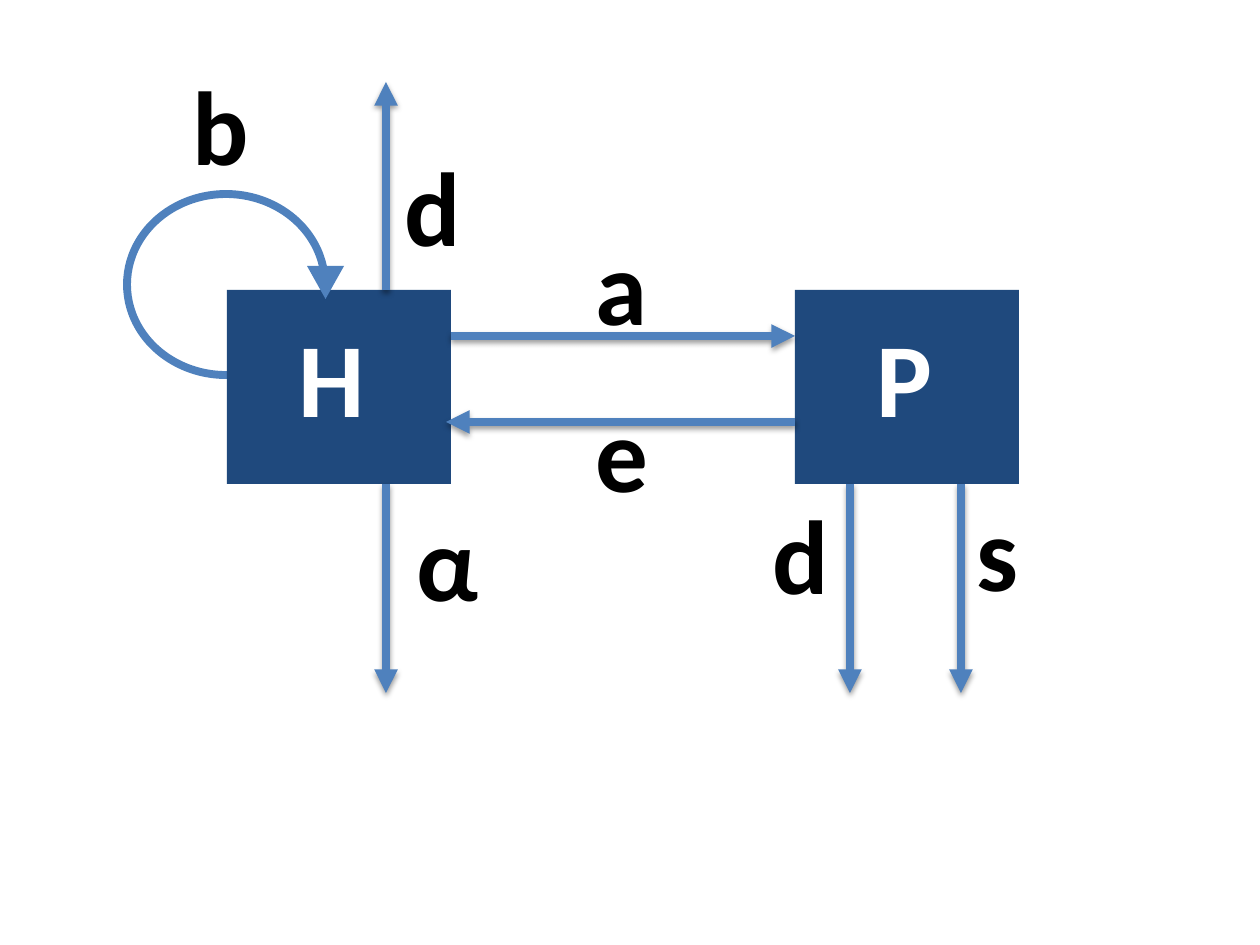
"""Build a host and parasite flow diagram with labelled rates."""
from lxml import etree
from pptx import Presentation
from pptx.dml.color import RGBColor
from pptx.enum.shapes import MSO_CONNECTOR, MSO_SHAPE
from pptx.enum.text import MSO_AUTO_SIZE
from pptx.oxml import parse_xml
from pptx.oxml.ns import qn
from pptx.util import Inches, Pt

RECT, OVAL, WEDGE = MSO_SHAPE.RECTANGLE, MSO_SHAPE.OVAL, MSO_SHAPE.ISOSCELES_TRIANGLE
LINE, GROW = MSO_CONNECTOR.STRAIGHT, MSO_AUTO_SIZE.SHAPE_TO_FIT_TEXT
PX = Inches(1) / 126
THEME = {
    "box": RGBColor(0x1F, 0x49, 0x7D),
    "flow": RGBColor(0x4F, 0x81, 0xBD),
    "light": RGBColor(255, 255, 255),
    "dark": RGBColor(0, 0, 0),
    "font": "Calibri",
    "size": Pt(60),
    "width": Pt(4.5),
}
SHADOW = (
    '<a:effectLst xmlns:a="http://schemas.openxmlformats.org/drawingml/2006/main">'
    '<a:outerShdw blurRad="40000" dist="20000" dir="5400000" rotWithShape="0">'
    '<a:srgbClr val="000000"><a:alpha val="38000"/></a:srgbClr>'
    '</a:outerShdw></a:effectLst>'
)


def emu(*nums):
    return [round(num * PX) for num in nums]


def label(text, left, top, color=THEME["dark"], size=THEME["size"], bold=True):
    frame = slide.shapes.add_textbox(*emu(left, top, 92, 140)).text_frame
    frame.word_wrap = True
    frame.auto_size = GROW
    run = frame.paragraphs[0].add_run()
    run.text = text
    run.font.name = THEME["font"]
    run.font.size = size
    run.font.bold = bold
    run.font.color.rgb = color


deck = Presentation()
deck.slide_width, deck.slide_height = Inches(10), Inches(7.5)
slide = deck.slides.add_slide(deck.slide_layouts[6])

loop = slide.shapes.add_shape(OVAL, *emu(127, 194, 198, 181))
loop.shadow.inherit = False
loop.fill.background()
loop.line.color.rgb = THEME["flow"]
loop.line.width = THEME["width"]

top, wide, high = 290, 224, 194
base = top + high
host, guest = 227, 795
for left in (host, guest):
    box = slide.shapes.add_shape(RECT, *emu(left, top, wide, high))
    box.shadow.inherit = False
    box.fill.solid()
    box.fill.fore_color.rgb = THEME["box"]
    box.line.fill.background()

flows = [
    (host + wide, 336, guest, 336),
    (guest, 422, 446, 422),
    (386, top, 386, 82),
] + [(x, base, x, 693) for x in (386, 850, 961)]
for ends in flows:
    flow = slide.shapes.add_connector(LINE, *emu(*ends))
    flow.line.color.rgb = THEME["flow"]
    flow.line.width = THEME["width"]
    etree.SubElement(flow.line._get_or_add_ln(), qn("a:tailEnd"), type="triangle")
    flow._element.spPr.append(parse_xml(SHADOW))

head = slide.shapes.add_shape(WEDGE, *emu(307, 266, 37, 33))
head.rotation = 180
head.shadow.inherit = False
head.fill.solid()
head.fill.fore_color.rgb = THEME["flow"]
head.line.fill.background()

for text, left in (("H", 286), ("P", 864)):
    label(text, left, 306, color=THEME["light"])

for text, left, y in (
    ("b", 180, 54),
    ("d", 392, 135),
    ("a", 583, 214),
    ("e", 583, 381),
    ("α", 404, 490),
    ("d", 760, 483),
    ("s", 964, 480),
):
    label(text, left, y)

deck.save("out.pptx")
